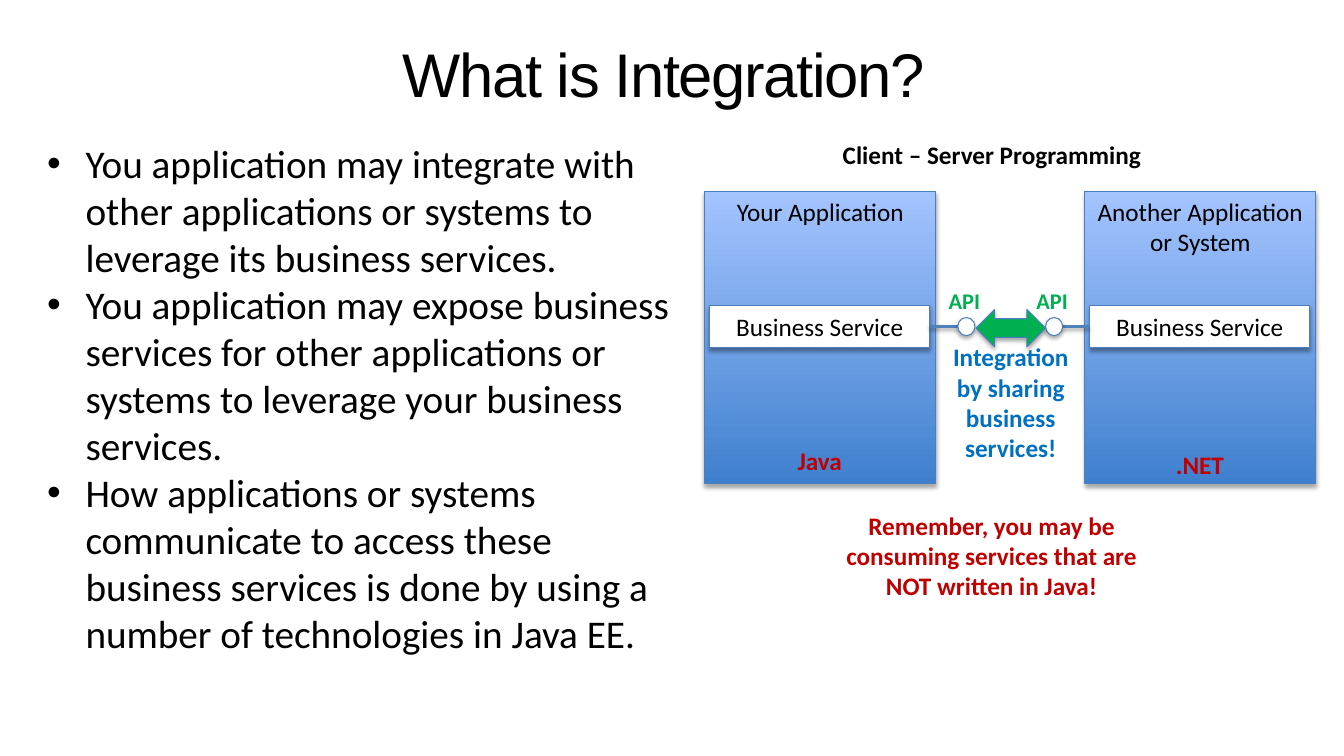
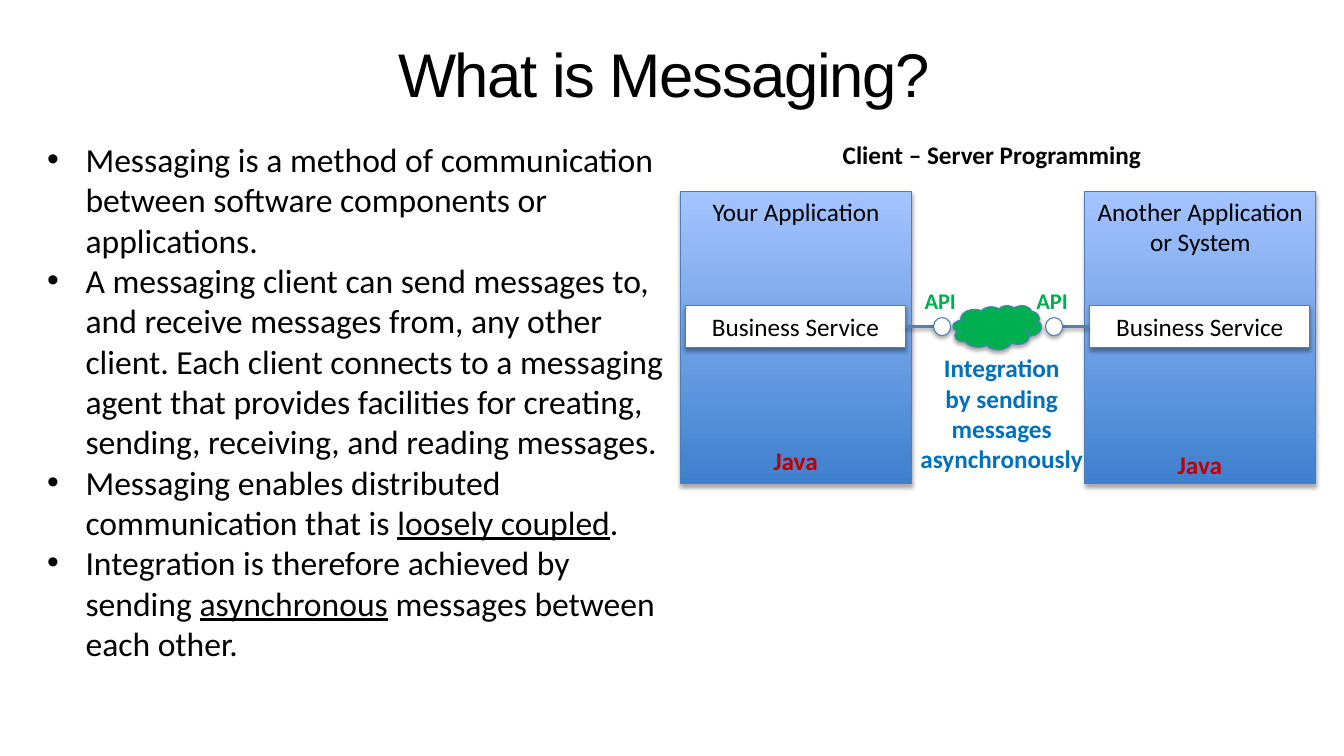
from collections import namedtuple
from dataclasses import dataclass

from lxml import etree
from pptx import Presentation
from pptx.dml.color import RGBColor
from pptx.enum import shapes, text
from pptx.oxml import ns
from pptx.util import Inches, Pt

Box = namedtuple("Box", "left top width height")
Shape = shapes.MSO_SHAPE
Align = text.PP_ALIGN


@dataclass(frozen=True)
class Theme:
    title_font: str = "Arial"
    body_font: str = "Calibri"
    ink: str = "000000"
    paper: str = "FFFFFF"
    panel_dark: str = "3F80CE"
    panel_light: str = "A4C4FF"
    outline: str = "4B7EBC"
    wire: str = "4F81BD"
    green: str = "00B050"
    blue: str = "0070C0"
    red: str = "C00000"
    title_size: int = 44
    label_size: int = 18
    api_size: int = 16
    outline_width: float = 0.75
    wire_width: float = 2


THEME = Theme()
TITLE_BOX = Box(0.2, 0.35, 12.77, 0.75)
HEADING_BOX = Box(8.26, 1.33, 3.18, 0.4)
REMINDER_BOX = Box(8.08, 5.01, 3.51, 1.01)
PANEL_TOP, PANEL_WIDTH, PANEL_HEIGHT = 1.9, 2.29, 2.9
RIGHT_PANEL = Box(10.76, PANEL_TOP, PANEL_WIDTH, PANEL_HEIGHT)
NODE_WIDTH, NODE_HEIGHT = 0.17, 0.18


def color(value):
    return RGBColor.from_string(value)


def place(box):
    return [Inches(round(length, 3)) for length in box]


def style(font, size, ink=THEME.ink, bold=False, face=THEME.body_font):
    font.name = face
    font.size = Pt(size)
    font.bold = bold
    font.color.rgb = color(ink)


def write(frame, words, size=THEME.label_size, ink=THEME.ink, bold=False,
          align=Align.CENTER, wrap=True, anchor=text.MSO_ANCHOR.TOP):
    frame.text = words
    frame.word_wrap = wrap
    frame.vertical_anchor = anchor
    for para in frame.paragraphs:
        para.alignment = align
        for span in para.runs:
            style(span.font, size, ink, bold)


def add_label(page, box, words, **options):
    label = page.shapes.add_textbox(*place(box))
    write(label.text_frame, words, **options)
    return label


def add_shadow(shape, opacity=35, distance=1.8):
    properties = shape._element.spPr
    effects = etree.SubElement(properties, ns.qn("a:effectLst"))
    shadow = etree.SubElement(effects, ns.qn("a:outerShdw"), blurRad=str(Pt(3.1)),
                              dist=str(Pt(distance)), dir="5400000", rotWithShape="0")
    tint = etree.SubElement(shadow, ns.qn("a:srgbClr"), val="000000")
    etree.SubElement(tint, ns.qn("a:alpha"), val=str(opacity * 1000))


def add_outlined(page, kind, box, fill=THEME.paper):
    shape = page.shapes.add_shape(kind, *place(box))
    shape.fill.solid()
    shape.fill.fore_color.rgb = color(fill)
    shape.line.color.rgb = color(THEME.outline)
    shape.line.width = Pt(THEME.outline_width)
    add_shadow(shape)
    return shape


def add_title(page, box, words):
    title = page.shapes.title
    title.left, title.top, title.width, title.height = place(box)
    frame = title.text_frame
    write(frame, words, anchor=text.MSO_ANCHOR.MIDDLE)
    span = frame.paragraphs[0].runs[0]
    style(span.font, THEME.title_size, face=THEME.title_font)
    span._r.get_or_add_rPr().set("spc", "-100")


def add_bullets(page, box, items, size):
    frame = page.shapes.add_textbox(*place(box)).text_frame
    frame.word_wrap = True
    for index, item in enumerate(items):
        para = frame.add_paragraph() if index else frame.paragraphs[0]
        properties = para._p.get_or_add_pPr()
        properties.set("marL", str(Inches(0.38)))
        properties.set("indent", str(Inches(-0.38)))
        etree.SubElement(properties, ns.qn("a:buFont"), typeface="Arial")
        etree.SubElement(properties, ns.qn("a:buChar"), char="•")
        for part, words in enumerate(item.split("|")):
            span = para.add_run()
            span.text = words
            style(span.font, size)
            if part % 2:
                span.font.underline = True


def add_system(page, box, name, language, language_drop, on_left):
    panel = add_outlined(page, Shape.RECTANGLE, box)
    panel.fill.gradient()
    panel.fill.gradient_angle = 90
    for stop, tone in zip(panel.fill.gradient_stops, (THEME.panel_dark, THEME.panel_light)):
        stop.color.rgb = color(tone)
    write(panel.text_frame, name)

    service_box = Box(box.left + 0.05, box.top + 1.13, 2.18, 0.42)
    service = add_outlined(page, Shape.RECTANGLE, service_box)
    write(service.text_frame, "Business Service", anchor=text.MSO_ANCHOR.MIDDLE)

    middle = service_box.top + service_box.height / 2
    node_left = box.left + (2.51 if on_left else -0.39)
    edge = node_left if on_left else node_left + NODE_WIDTH
    start = service_box.left + (service_box.width if on_left else 0)
    wire = page.shapes.add_connector(shapes.MSO_CONNECTOR.STRAIGHT,
                                     *place((start, middle, edge, middle)))
    wire.begin_connect(service, 3 if on_left else 1)
    wire.line.color.rgb = color(THEME.wire)
    wire.line.width = Pt(THEME.wire_width)
    add_shadow(wire, 38, 1.6)
    add_outlined(page, Shape.OVAL,
                 Box(node_left, middle - NODE_HEIGHT / 2, NODE_WIDTH, NODE_HEIGHT))
    add_label(page, Box(node_left - 0.22, box.top + 0.9, 0.57, 0.37), "API",
              size=THEME.api_size, ink=THEME.green, bold=True)
    add_label(page, Box(box.left - 0.02, box.top + language_drop, 2.32, 0.4), language,
              ink=THEME.red, bold=True)


def add_diagram(page, left, language, link_kind, link_box, caption, caption_box):
    add_label(page, HEADING_BOX, "Client – Server Programming", bold=True,
              align=Align.LEFT, wrap=False)
    left_panel = Box(left, PANEL_TOP, PANEL_WIDTH, PANEL_HEIGHT)
    add_system(page, left_panel, "Your Application", "Java", 2.47, True)
    add_system(page, RIGHT_PANEL, "Another Application or System", language, 2.51, False)
    add_outlined(page, link_kind, link_box, THEME.green)
    add_label(page, caption_box, caption, ink=THEME.blue, bold=True)


def add_page(deck, title, items, size):
    page = deck.slides.add_slide(deck.slide_layouts[5])
    add_title(page, TITLE_BOX, title)
    add_bullets(page, Box(0.37, 1.33, 6.49, 5.3), items, size)
    return page


def add_integration(deck):
    page = add_page(deck, "What is Integration?", [
        "You application may integrate with other applications or systems to "
        "leverage its business services.",
        "You application may expose business services for other applications or "
        "systems to leverage your business services.",
        "How applications or systems communicate to access these business services "
        "is done by using a number of technologies in Java EE.",
    ], 28)
    add_diagram(page, 6.99, ".NET", Shape.LEFT_RIGHT_ARROW, Box(9.68, 3.07, 0.69, 0.37),
                "Integration\nby sharing business services!", Box(9.28, 3.34, 1.49, 1.31))
    reminder = add_label(page, REMINDER_BOX, "Remember, you may be consuming services that are "
                         "NOT written in Java!", ink=THEME.red, bold=True)
    reminder.fill.solid()
    reminder.fill.fore_color.rgb = color(THEME.paper)


def add_messaging(deck):
    page = add_page(deck, "What is Messaging?", [
        "Messaging is a method of communication between software components or applications.",
        "A messaging client can send messages to, and receive messages from, any other "
        "client. Each client connects to a messaging agent that provides facilities for "
        "creating, sending, receiving, and reading messages.",
        "Messaging enables distributed communication that is |loosely coupled|.",
        "Integration is therefore achieved by sending |asynchronous| messages between each other.",
    ], 24)
    add_diagram(page, 6.75, "Java", Shape.CLOUD, Box(9.45, 3.03, 0.88, 0.44),
                "Integration\nby sending messages asynchronously", Box(9, 3.45, 1.87, 1.31))


def main():
    deck = Presentation()
    deck.slide_width, deck.slide_height = Inches(13.33), Inches(7.5)
    add_integration(deck)
    add_messaging(deck)
    deck.save("out.pptx")


if __name__ == "__main__":
    main()
